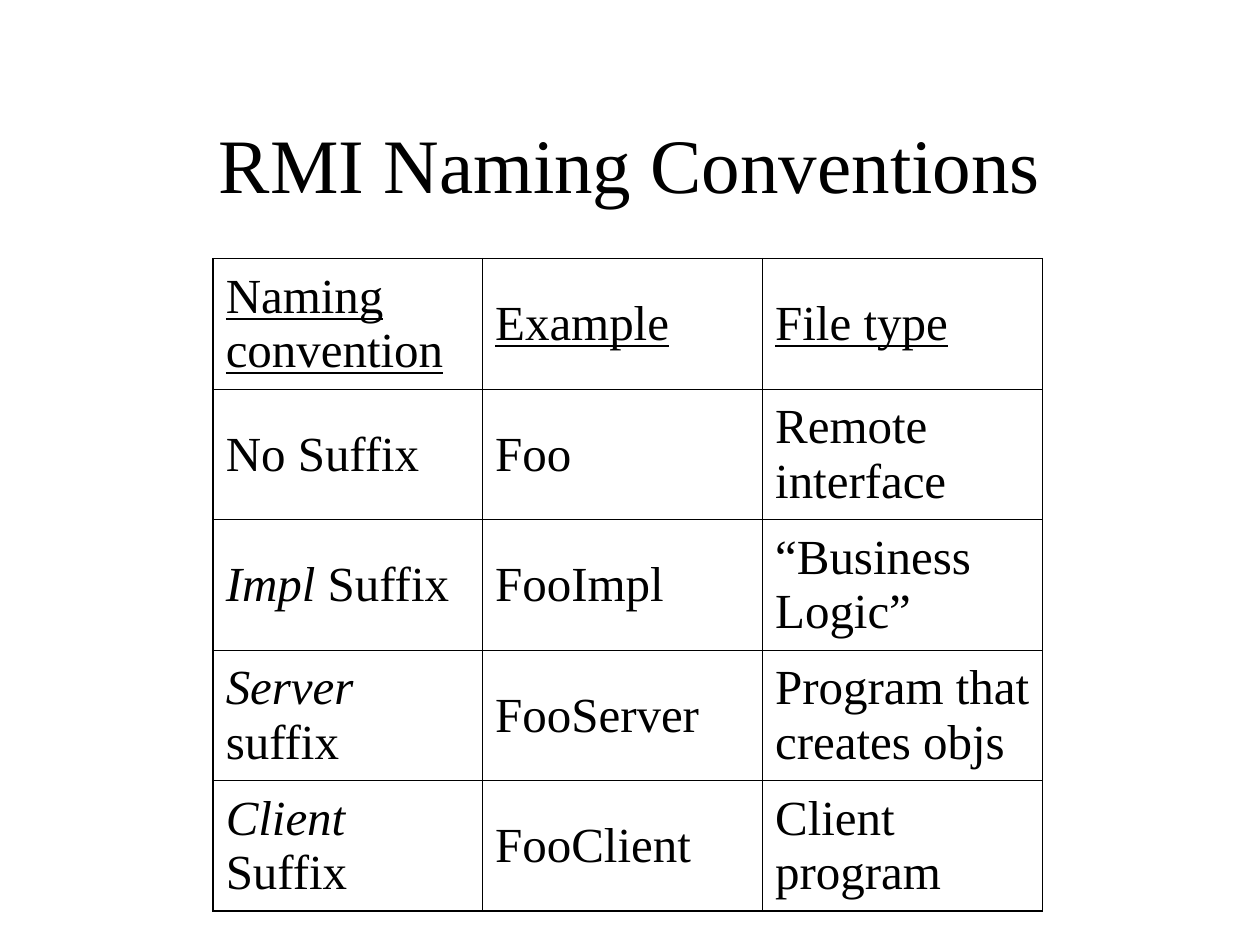
"""Build the RMI naming conventions slide with its table of suffixes."""
from lxml import etree
from pptx import Presentation
from pptx.dml.color import RGBColor
from pptx.enum.text import MSO_ANCHOR, PP_ALIGN
from pptx.oxml.ns import qn
from pptx.util import Pt

MIDDLE = MSO_ANCHOR.MIDDLE
CENTER = PP_ALIGN.CENTER
LEFT = PP_ALIGN.LEFT
FONT = "Times New Roman"
COLORS = {"text": "000000", "border": "000000", "background": "FFFFFF"}
OUTER_WIDTH = 1.08
INNER_WIDTH = 0.45
COLUMN_WIDTHS = [154, 160, 160]
ROW_HEIGHT = 74.6
ROWS = [
    (["Naming convention"], "Example", "File type"),
    (["No Suffix"], "Foo", "Remote interface"),
    (["Impl", " Suffix"], "FooImpl", "“Business Logic”"),
    (["Server", " suffix"], "FooServer", "Program that creates objs"),
    (["Client", " Suffix"], "FooClient", "Client program"),
]


def add_run(paragraph, text, size, italic=False, underline=False):
    run = paragraph.add_run()
    run.text = text
    run.font.name = FONT
    run.font.size = Pt(size)
    run.font.bold = False
    run.font.italic = italic
    run.font.underline = underline
    run.font.color.rgb = RGBColor.from_string(COLORS["text"])


def set_border(cell, position, side, width):
    line = etree.Element(qn(f"a:ln{side}"), w=str(Pt(width)))
    fill = etree.SubElement(line, qn("a:solidFill"))
    etree.SubElement(fill, qn("a:srgbClr"), val=COLORS["border"])
    cell._tc.get_or_add_tcPr().insert(position, line)


presentation = Presentation()
presentation.slide_width = Pt(720)
presentation.slide_height = Pt(540)
slide = presentation.slides.add_slide(presentation.slide_layouts[5])
slide.background.fill.solid()
slide.background.fill.fore_color.rgb = RGBColor.from_string(COLORS["background"])

title = slide.shapes.title
title.left, title.top, title.width, title.height = Pt(54), Pt(48), Pt(612), Pt(90)
title.text_frame.vertical_anchor = MIDDLE
title.text_frame.word_wrap = True
title_paragraph = title.text_frame.paragraphs[0]
title_paragraph.alignment = CENTER
add_run(title_paragraph, "RMI Naming Conventions", 44)

row_count, column_count = len(ROWS), len(COLUMN_WIDTHS)
table = slide.shapes.add_table(
    row_count, column_count, Pt(121.8), Pt(147.8),
    Pt(sum(COLUMN_WIDTHS)), Pt(ROW_HEIGHT * row_count),
).table
table.first_row = False
table.horz_banding = False
for column, width in zip(table.columns, COLUMN_WIDTHS):
    column.width = Pt(width)

for row_index, (convention, example, file_type) in enumerate(ROWS):
    table.rows[row_index].height = Pt(ROW_HEIGHT)
    for column_index, texts in enumerate([convention, [example], [file_type]]):
        cell = table.cell(row_index, column_index)
        cell.vertical_anchor = MIDDLE
        cell.margin_left = cell.margin_right = Pt(7.2)
        cell.margin_top = cell.margin_bottom = Pt(3.6)
        cell.fill.background()
        outer_sides = {
            "L": column_index == 0,
            "R": column_index == column_count - 1,
            "T": row_index == 0,
            "B": row_index == row_count - 1,
        }
        for position, (side, is_outer) in enumerate(outer_sides.items()):
            set_border(cell, position, side, OUTER_WIDTH if is_outer else INNER_WIDTH)
        paragraph = cell.text_frame.paragraphs[0]
        paragraph.alignment = LEFT
        for run_index, text in enumerate(texts):
            is_suffix_name = len(texts) > 1 and run_index == 0
            add_run(paragraph, text, 28, italic=is_suffix_name, underline=row_index == 0)

presentation.save("out.pptx")
